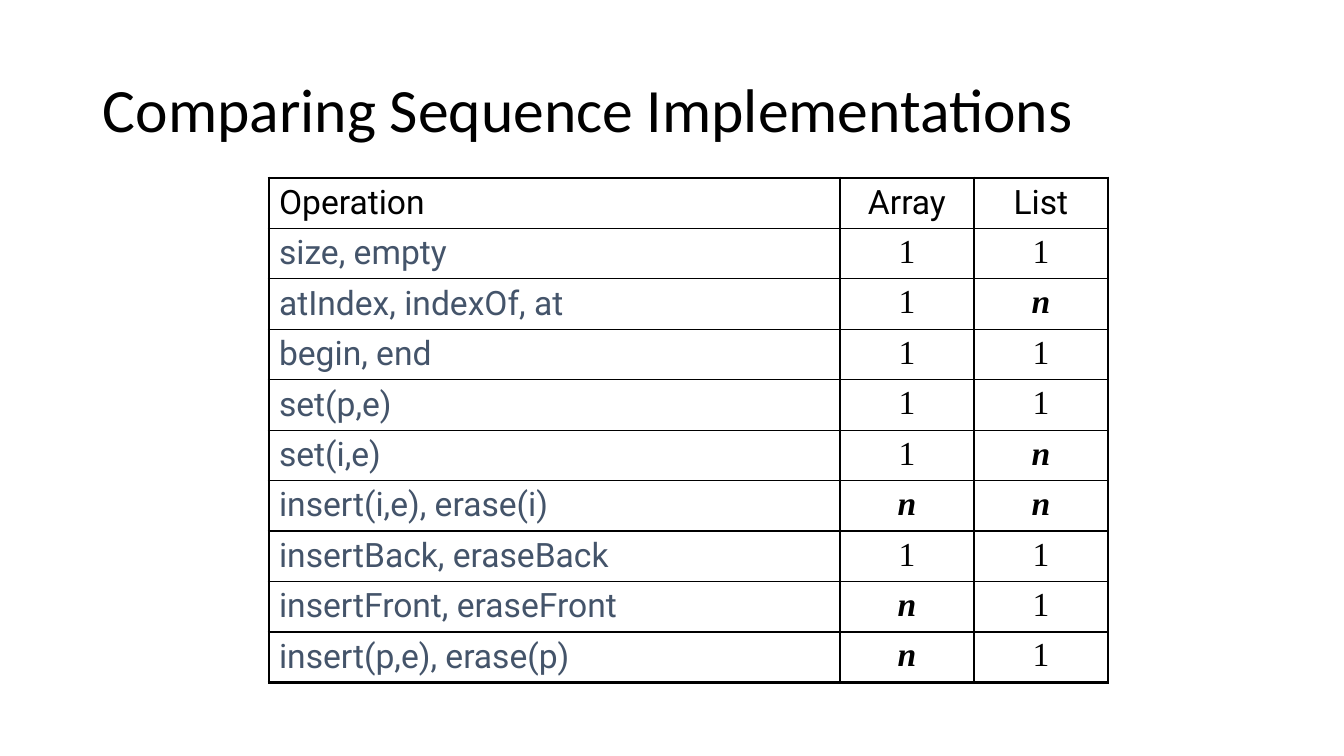
from lxml import etree
from pptx import Presentation
from pptx.dml.color import RGBColor
from pptx.enum.text import MSO_ANCHOR, PP_ALIGN
from pptx.oxml.ns import qn
from pptx.util import Pt

PX = 12192000 / 1344
BLACK = RGBColor(0x00, 0x00, 0x00)
SLATE = RGBColor(0x44, 0x54, 0x6A)
LEFT, CENTER = PP_ALIGN.LEFT, PP_ALIGN.CENTER
MIDDLE = MSO_ANCHOR.MIDDLE
OUTER, INNER = Pt(2.25), Pt(1)

COSTS = [
    ("Operation", "Array", "List"),
    ("size, empty", "1", "1"),
    ("atIndex, indexOf, at", "1", "n"),
    ("begin, end", "1", "1"),
    ("set(p,e)", "1", "1"),
    ("set(i,e)", "1", "n"),
    ("insert(i,e), erase(i)", "n", "n"),
    ("insertBack, eraseBack", "1", "1"),
    ("insertFront, eraseFront", "n", "1"),
    ("insert(p,e), erase(p)", "n", "1"),
]
COLUMN_WIDTHS = (571, 134, 134)
ROW_HEIGHT = 49


def px(n):
    return round(n * PX)


def add_border(cell, side, width):
    line = etree.SubElement(cell._tc.get_or_add_tcPr(), qn("a:" + side), w=str(width))
    fill = etree.SubElement(line, qn("a:solidFill"))
    etree.SubElement(fill, qn("a:srgbClr"), val=str(BLACK))


prs = Presentation()
prs.slide_width, prs.slide_height = px(1344), px(756)
slide = prs.slides.add_slide(prs.slide_layouts[6])

# Title
title = slide.shapes.add_textbox(px(93), px(40), px(1159), px(146)).text_frame
title.word_wrap = True
title.vertical_anchor = MIDDLE
title.text = "Comparing Sequence Implementations"
heading = title.paragraphs[0]
heading.line_spacing = 0.9
heading.font.name = "Calibri"
heading.font.size = Pt(44)
heading.font.color.rgb = BLACK

# Cost table
last_row, last_col = len(COSTS) - 1, len(COLUMN_WIDTHS) - 1
costs = slide.shapes.add_table(
    len(COSTS), len(COLUMN_WIDTHS), px(269), px(178),
    px(sum(COLUMN_WIDTHS)), px(ROW_HEIGHT * len(COSTS))).table
costs.first_row = costs.horz_banding = False
for column, width in zip(costs.columns, COLUMN_WIDTHS):
    column.width = px(width)

for r, entries in enumerate(COSTS):
    for c, entry in enumerate(entries):
        cell = costs.cell(r, c)
        # Heavy frame around the table, thin rules inside
        for side, on_edge in (("lnL", c == 0), ("lnR", c == last_col),
                              ("lnT", r == 0), ("lnB", r == last_row)):
            add_border(cell, side, OUTER if on_edge else INNER)
        cell.fill.background()

        # Header and operations in Roboto, costs in Times with italic n
        is_cost = r > 0 and c > 0
        cell.text_frame.text = entry
        paragraph = cell.text_frame.paragraphs[0]
        paragraph.alignment = CENTER if c else LEFT
        font = paragraph.runs[0].font
        font.size = Pt(24)
        font.name = "Times New Roman" if is_cost else "Roboto"
        font.color.rgb = SLATE if r and not c else BLACK
        font.bold = font.italic = entry == "n"

prs.save("out.pptx")
